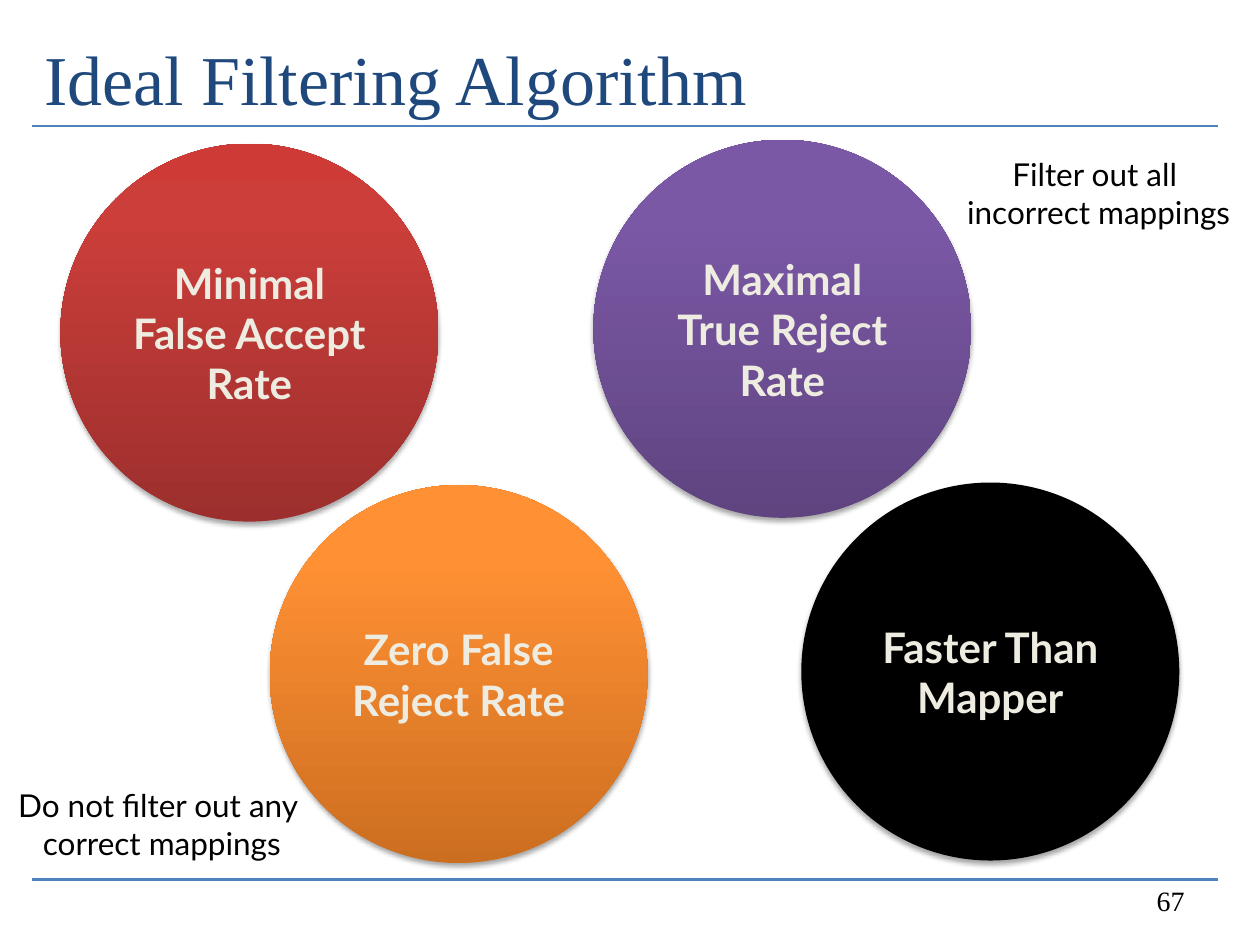
from lxml import etree
from pptx import Presentation
from pptx import util as u
from pptx.dml.color import RGBColor
from pptx.enum import shapes, text
from pptx.oxml import parse_xml
from pptx.oxml.ns import nsdecls, qn

NAVY = RGBColor(0x1F, 0x49, 0x7D)
BLUE = RGBColor(0x4F, 0x81, 0xBD)
CREAM = RGBColor(0xEE, 0xEC, 0xE1)
BLACK = RGBColor(0, 0, 0)
# Gradient stops from the bottom of the circle to its top
RED = {0: RGBColor(0x9C, 0x2F, 0x2D), 80: RGBColor(0xCB, 0x3E, 0x3A), 100: RGBColor(0xCE, 0x3B, 0x37)}
ORANGE = {0: RGBColor(0xCC, 0x6E, 0x20), 80: RGBColor(0xFF, 0x90, 0x34), 100: RGBColor(0xFF, 0x91, 0x36)}
PURPLE = {0: RGBColor(0x5F, 0x44, 0x80), 80: RGBColor(0x7B, 0x58, 0xA6), 100: RGBColor(0x7C, 0x57, 0xA8)}

WIDTH, HEIGHT = 10, 7.5
DIAMETER = 3
SERIF, SANS = "Times New Roman", "Lato"
CENTER, RIGHT = text.PP_ALIGN.CENTER, text.PP_ALIGN.RIGHT


class FilterSlide:
    """Holds the slide and its style; the grid unit is one inch."""

    def __init__(self, deck):
        self.slide = deck.slides.add_slide(deck.slide_layouts[5])
        self.shapes = self.slide.shapes

    def set_lines(self, frame, lines, size, color, face=SANS, align=None, bold=False):
        frame.text = "\n".join(lines)
        for paragraph in frame.paragraphs:
            paragraph.alignment = align
            font = paragraph.font
            font.size, font.name, font.bold = u.Pt(size), face, bold
            font.color.rgb = color

    def title(self, words, *box):
        heading = self.shapes.title
        heading.left, heading.top, heading.width, heading.height = map(u.Inches, box)
        frame = heading.text_frame
        frame.vertical_anchor = text.MSO_ANCHOR.TOP
        frame.margin_top = u.Inches(0.11)
        self.set_lines(frame, [words], 40, NAVY, SERIF, text.PP_ALIGN.LEFT)

    def rule(self, row):
        left, right, y = map(u.Inches, (0.25, 9.67, row))
        line = self.shapes.add_connector(shapes.MSO_CONNECTOR.STRAIGHT, left, y, right, y)
        line.line.color.rgb = BLUE
        line.line.width = u.Pt(1.5)
        etree.SubElement(line._element.spPr, qn("a:effectLst"))

    def circle(self, words, column, row, fill):
        goal = self.shapes.add_shape(
            shapes.MSO_SHAPE.OVAL, *map(u.Inches, (column, row, DIAMETER, DIAMETER)))
        goal.line.fill.background()
        if isinstance(fill, dict):
            self.shade(goal, fill)
        else:
            goal.fill.solid()
            goal.fill.fore_color.rgb = fill
        self.drop_shadow(goal)
        frame = goal.text_frame
        frame.word_wrap = True
        frame.vertical_anchor = text.MSO_ANCHOR.MIDDLE
        self.set_lines(frame, [words], 24, CREAM, align=CENTER, bold=True)

    def shade(self, goal, stops):
        goal.fill.gradient()
        gradient = goal._element.spPr.find(qn("a:gradFill"))
        stop_list = gradient.find(qn("a:gsLst"))
        for old in list(stop_list):
            stop_list.remove(old)
        for share, color in stops.items():
            stop = etree.SubElement(stop_list, qn("a:gs"), pos=str(share * 1000))
            etree.SubElement(stop, qn("a:srgbClr"), val=str(color))
        gradient.find(qn("a:lin")).set("ang", str(270 * 60000))

    def drop_shadow(self, goal):
        goal.shadow.inherit = False
        effects = goal._element.spPr.find(qn("a:effectLst"))
        effects.append(parse_xml(
            f'<a:outerShdw {nsdecls("a")} blurRad="{u.Pt(3.1)}" dist="{u.Pt(1.8)}" '
            f'dir="{90 * 60000}" rotWithShape="0"><a:srgbClr val="000000">'
            '<a:alpha val="35000"/></a:srgbClr></a:outerShdw>'))

    def note(self, lines, *box):
        frame = self.shapes.add_textbox(*map(u.Inches, box)).text_frame
        frame.word_wrap = False
        frame.auto_size = text.MSO_AUTO_SIZE.SHAPE_TO_FIT_TEXT
        self.set_lines(frame, lines, 18, BLACK, align=CENTER)

    def page_number(self, number, *box):
        frame = self.shapes.add_textbox(*map(u.Inches, box)).text_frame
        frame.word_wrap = True
        frame.vertical_anchor = text.MSO_ANCHOR.BOTTOM
        self.set_lines(frame, [number], 16, BLACK, SERIF, RIGHT)


def main():
    deck = Presentation()
    deck.slide_width, deck.slide_height = u.Inches(WIDTH), u.Inches(HEIGHT)
    page = FilterSlide(deck)
    for row in (6.98, 1):
        page.rule(row)
    page.title("Ideal Filtering Algorithm", 0.25, 0.17, 9.42, 1.17)
    page.page_number("67", 7.17, 6.83, 2.33, 0.5)
    for words, column, row, fill in (
        ("Minimal False Accept Rate", 0.48, 1.14, RED),
        ("Zero False Reject Rate", 2.14, 3.85, ORANGE),
        ("Maximal True Reject Rate", 4.71, 1.11, PURPLE),
        ("Faster Than Mapper", 6.36, 3.83, BLACK),
    ):
        page.circle(words, column, row, fill)
    page.note(["Filter out all ", "incorrect mappings"], 7.56, 1.18, 2.32, 0.71)
    page.note(["Do not filter out any ", "correct mappings"], 0.02, 6.19, 2.53, 0.71)
    deck.save("out.pptx")


if __name__ == "__main__":
    main()
